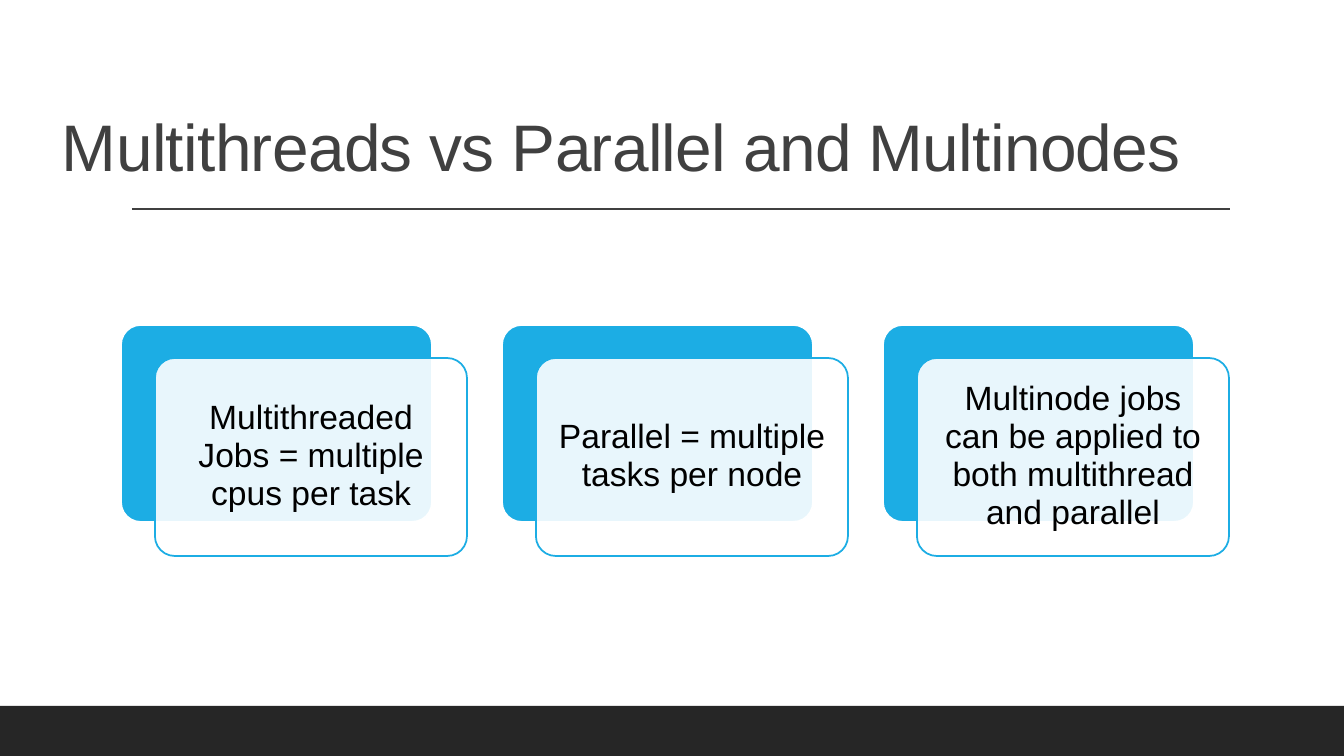
"""Build the slide comparing multithreaded, parallel and multinode jobs."""
import pptx
import pptx.util
import pptx.dml.color
import pptx.enum.shapes
import pptx.enum.text
import pptx.oxml.ns
import lxml.etree

PX = 914400 / 100.8
COLORS = {"white": "FFFFFF", "ink": "404040", "footer": "262626",
          "accent": "1CADE4", "black": "000000"}
JOBS = ["Multithreaded Jobs = multiple cpus per task",
        "Parallel = multiple tasks per node",
        "Multinode jobs can be applied to both multithread and parallel"]


def emu(*px):
    return [round(v * PX) for v in px]


def rgb(name):
    return pptx.dml.color.RGBColor.from_string(COLORS[name])


def write(tf, text, size, color, font="Arial", align="LEFT", leading=0.9, spacing=None):
    p = tf.paragraphs[0]
    p.alignment = getattr(pptx.enum.text.PP_ALIGN, align)
    p.line_spacing = leading
    r = p.add_run()
    r.text = text
    r.font.name = font
    r.font.size = pptx.util.Pt(size)
    r.font.color.rgb = rgb(color)
    if spacing is not None:
        r.font._element.set("spc", str(spacing))


class Deck:
    def __init__(self):
        self.prs = pptx.Presentation()
        self.prs.slide_width, self.prs.slide_height = emu(1344, 756)
        self.s = self.prs.slides.add_slide(self.prs.slide_layouts[6])

    def box(self, x, y, w, h, fill, line=None, radius=None, alpha=None):
        kinds = pptx.enum.shapes.MSO_SHAPE
        kind = kinds.RECTANGLE if radius is None else kinds.ROUNDED_RECTANGLE
        sp = self.s.shapes.add_shape(kind, *emu(x, y, w, h))
        sp.shadow.inherit = False
        if radius is not None:
            sp.adjustments[0] = radius
        sp.fill.solid()
        sp.fill.fore_color.rgb = rgb(fill)
        if alpha is not None:
            clr = sp._element.spPr.find(".//" + pptx.oxml.ns.qn("a:srgbClr"))
            lxml.etree.SubElement(clr, pptx.oxml.ns.qn("a:alpha")).set("val", str(alpha * 1000))
        if line:
            sp.line.color.rgb = rgb(line)
            sp.line.width = pptx.util.Pt(1.25)
        else:
            sp.line.fill.background()

    def text(self, x, y, w, h, text, anchor="MIDDLE", pad=10, **style):
        tf = self.s.shapes.add_textbox(*emu(x, y, w, h)).text_frame
        tf.word_wrap = True
        tf.vertical_anchor = getattr(pptx.enum.text.MSO_ANCHOR, anchor)
        tf.margin_left, tf.margin_right = emu(10, 10)
        tf.margin_top, tf.margin_bottom = emu(pad, pad)
        write(tf, text, **style)

    def rule(self, x1, y1, x2, y2, color):
        kind = pptx.enum.shapes.MSO_CONNECTOR.STRAIGHT
        c = self.s.shapes.add_connector(kind, *emu(x1, y1, x2, y2))
        c.line.color.rgb = rgb(color)
        c.line.width = pptx.util.Pt(1)
        lxml.etree.SubElement(c._element.spPr, pptx.oxml.ns.qn("a:effectLst"))

    def card(self, x, y, text):
        self.box(x, y, 311, 197, "accent", line="white", radius=0.1)
        self.box(x + 34, y + 33, 312, 198, "white", line="accent", radius=0.1, alpha=90)
        self.text(x + 40, y + 38, 300, 186, text, size=24, color="black",
                  align="CENTER", leading=0.94)


def main():
    deck = Deck()
    deck.box(0, 0, 1344, 756, "white")
    deck.text(52, 31, 1177, 160, "Multithreads vs Parallel and Multinodes",
              anchor="BOTTOM", pad=5, size=47, color="ink", spacing=-50)
    deck.rule(132, 209, 1230, 209, "ink")
    deck.box(0, 706, 1344, 50, "footer")
    for i, job in enumerate(JOBS):
        deck.card(121 + 381 * i, 325, job)
    deck.prs.save("out.pptx")


if __name__ == "__main__":
    main()
